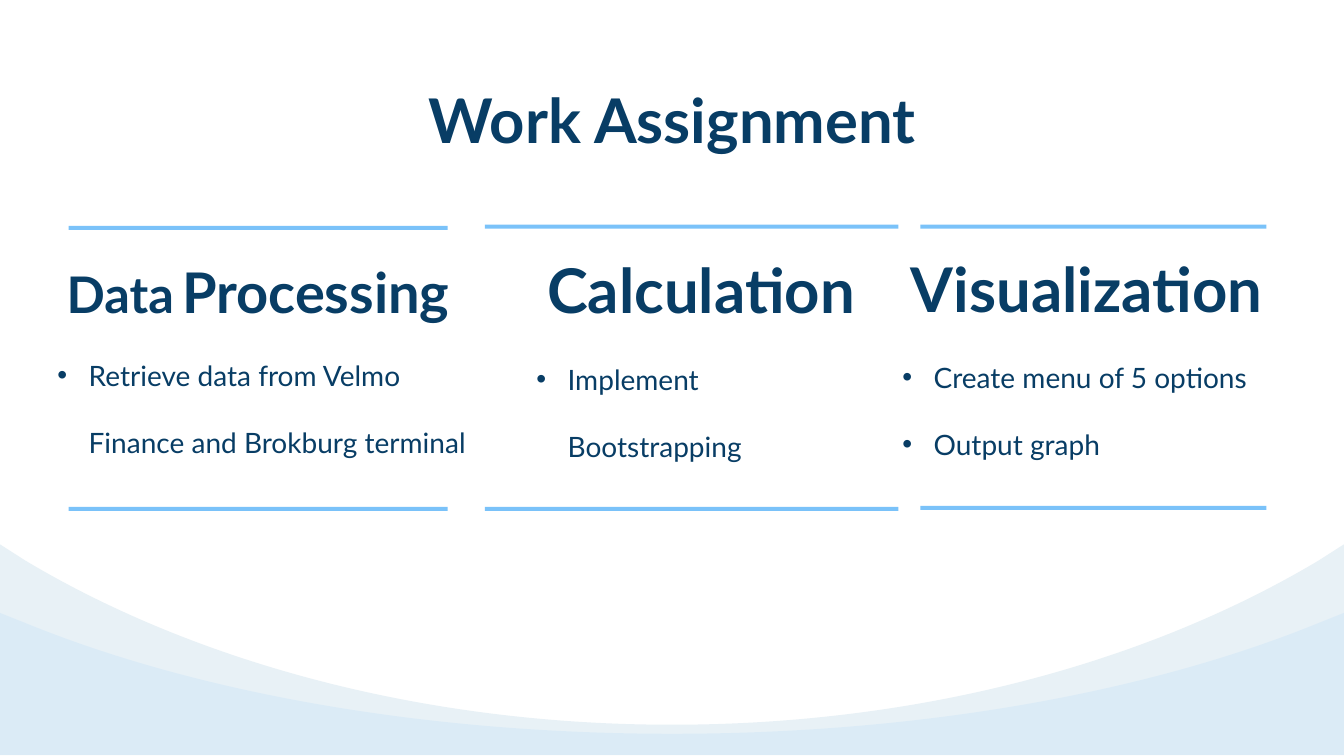
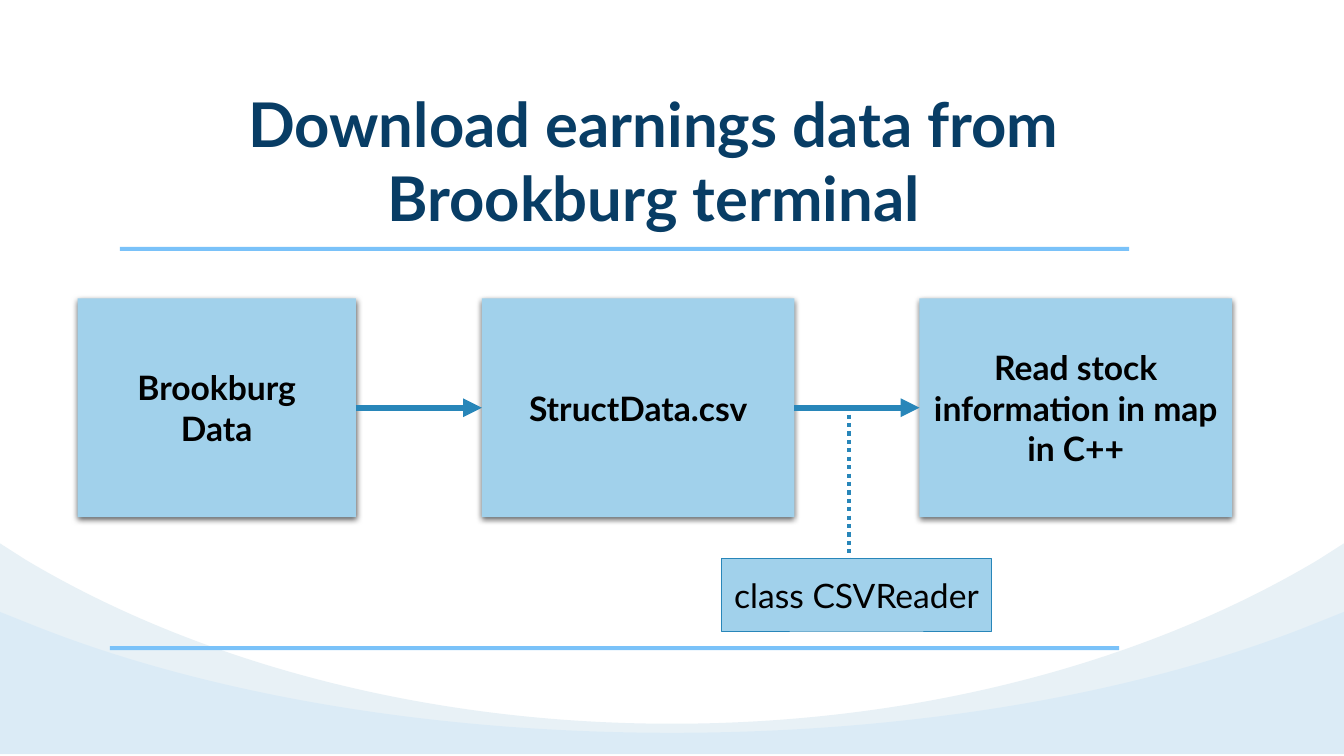
from itertools import pairwise

from lxml import etree
from pptx import Presentation
from pptx import util as u
from pptx.dml.color import RGBColor
from pptx.enum import dml, shapes, text
from pptx.oxml import ns

FONT = "Lato"
COLORS = {
    "navy": "083D65",
    "sky": "7AC2F9",
    "mist": "E8F1F6",
    "box": "A1D1EB",
    "arrow": "2886B9",
    "black": "000000",
}
WIDTH, HEIGHT = 13.33, 7.5
RULE_HEIGHT = 0.04
BULLET_INDENT = 0.31


def rgb(name):
    return RGBColor.from_string(COLORS[name])


def sub(parent, tag, **attributes):
    return etree.SubElement(parent, ns.qn(tag), attributes)


# Text
def add_runs(paragraph, runs, color, bold=False):
    for words, size in runs:
        run = paragraph.add_run()
        run.text = words
        run.font.name = FONT
        run.font.size = u.Pt(size)
        run.font.bold = bold
        run.font.color.rgb = rgb(color)


def paragraphs(frame, count):
    return [frame.paragraphs[0]] + [frame.add_paragraph() for _ in range(count - 1)]


def text_frame(slide, place):
    frame = slide.shapes.add_textbox(*map(u.Inches, place)).text_frame
    frame.word_wrap = True
    frame.auto_size = text.MSO_AUTO_SIZE.SHAPE_TO_FIT_TEXT
    frame.margin_left = frame.margin_right = 0
    frame.margin_top = frame.margin_bottom = 0
    return frame


def add_heading(slide, place, runs):
    paragraph = text_frame(slide, place).paragraphs[0]
    paragraph.alignment = text.PP_ALIGN.CENTER
    add_runs(paragraph, runs, "navy", bold=True)


def add_bullets(slide, place, items):
    frame = text_frame(slide, place)
    for paragraph, runs in zip(paragraphs(frame, len(items)), items):
        paragraph.line_spacing = 2.0
        properties = paragraph._p.get_or_add_pPr()
        properties.set("marL", str(u.Inches(BULLET_INDENT)))
        properties.set("indent", str(-u.Inches(BULLET_INDENT)))
        sub(properties, "a:buFont", typeface="Arial")
        sub(properties, "a:buChar", char="•")
        add_runs(paragraph, runs, "navy")


# Shapes
def paint(shape, color):
    shape.shadow.inherit = False
    shape.fill.solid()
    shape.fill.fore_color.rgb = rgb(color)
    shape.line.fill.background()


def add_rect(slide, place, color):
    rect = slide.shapes.add_shape(
        shapes.MSO_SHAPE.RECTANGLE, *map(u.Inches, place))
    paint(rect, color)
    return rect


def add_rule(slide, left, top, width):
    add_rect(slide, (left, top, width, RULE_HEIGHT), "sky")


def add_box(slide, place, lines, bold=False):
    box = add_rect(slide, place, "box")
    frame = box.text_frame
    frame.word_wrap = True
    frame.vertical_anchor = text.MSO_ANCHOR.MIDDLE
    for paragraph, line in zip(paragraphs(frame, len(lines)), lines):
        paragraph.alignment = text.PP_ALIGN.CENTER
        add_runs(paragraph, [(line, 24)], "black", bold)
    return box


def add_drop_shadow(shape):
    effects = shape._element.spPr.find(ns.qn("a:effectLst"))
    shadow = sub(effects, "a:outerShdw", blurRad=str(u.Pt(4.5)),
                 dist=str(u.Pt(1.5)), dir="5400000", rotWithShape="0")
    shade = sub(shadow, "a:srgbClr", val=COLORS["black"])
    sub(shade, "a:alpha", val="63000")


def add_line(slide, start, end, weight):
    line = slide.shapes.add_connector(
        shapes.MSO_CONNECTOR.STRAIGHT, *map(u.Inches, start + end))
    line.line.color.rgb = rgb("arrow")
    line.line.width = u.Pt(weight)
    sub(line._element.spPr, "a:effectLst")
    return line


def add_arrow(slide, source, target):
    arrow = add_line(slide, (0, 0), (1, 0), 4.5)
    arrow.begin_connect(source, 3)
    arrow.end_connect(target, 1)
    sub(arrow.line._get_or_add_ln(), "a:tailEnd", type="triangle")


# Curved bands along the bottom
def bend(segments):
    """Merge three straight segments into one cubic curve."""
    curve = etree.Element(ns.qn("a:cubicBezTo"))
    segments[0].addprevious(curve)
    for segment in segments:
        curve.append(segment[0])
        segment.getparent().remove(segment)


def add_band(slide, edge, shoulder, dip, low, bottom, color, opacity=100):
    left_half = [(0, edge), (0.25, shoulder), (1.94, dip), (4.2, low)]
    right_half = [(WIDTH - x, y) for x, y in reversed(left_half)]
    outline = [*left_half, (WIDTH / 2, low), *right_half,
               (WIDTH, bottom), (0, bottom)]
    points = [(u.Inches(x), u.Inches(y)) for x, y in outline]
    builder = slide.shapes.build_freeform(*points[0])
    builder.add_line_segments(points[1:], close=True)
    band = builder.convert_to_shape()
    paint(band, color)
    properties = band._element.spPr
    segments = properties.findall(".//" + ns.qn("a:lnTo"))
    bend(segments[1:4])
    bend(segments[4:7])
    if opacity < 100:
        tint = properties.find(".//" + ns.qn("a:srgbClr"))
        sub(tint, "a:alpha", val=str(opacity * 1000))


def add_slide(deck, title_place, title, band_shift=0):
    slide = deck.slides.add_slide(deck.slide_layouts[6])
    add_heading(slide, title_place, [(title, 44)])
    for heights, color, opacity in [
        ((5.4, 5.56, 6.57, 7.19, 7.49), "mist", 100),
        ((6.08, 6.18, 6.87, 7.28, 7.49), "sky", 11),
    ]:
        add_band(slide, *(y + band_shift for y in heights), color, opacity)
    return slide


# Slides
def work_assignment(deck):
    slide = add_slide(deck, (2.99, 0.81, 7.36, 0.74), "Work Assignment")
    # Rule left, width and tops, then heading and bullets
    columns = [
        (0.68, 3.76, (2.24, 5.03),
         (0.38, 2.56, 4.36, 0.67),
         [("Data", 36), (" ", 24), ("Processing", 40)],
         (0.57, 3.22, 4.24, 1.24),
         [[("Retrieve data from Velmo Finance and Brokburg terminal", 20)]]),
        (4.81, 4.1, (2.23, 5.03),
         (5.18, 2.5, 3.55, 0.74),
         [("Calculation", 44)],
         (5.32, 3.26, 3, 1.24),
         [[("Implement", 20), (" ", 18), ("Bootstrapping", 20)]]),
        (9.13, 3.43, (2.23, 5.02),
         (8.9, 2.49, 3.76, 0.74),
         [("Visualization", 44)],
         (8.95, 3.24, 3.66, 1.24),
         [[("Create menu of 5 options", 20)], [("Output graph", 20)]]),
    ]
    for left, width, tops, heading_place, heading, task_place, tasks in columns:
        add_heading(slide, heading_place, heading)
        add_bullets(slide, task_place, tasks)
        for top in tops:
            add_rule(slide, left, top, width)


def download_earnings(deck):
    slide = add_slide(deck, (1.46, 0.85, 10.05, 1.48),
                      "Download earnings data from Brookburg terminal",
                      band_shift=-0.01)
    add_rule(slide, 1.09, 6.41, 10.01)
    add_rule(slide, 1.19, 2.45, 10.01)

    # Data flow
    stages = [
        (0.77, 2.76, ["Brookburg", "Data"]),
        (4.78, 3.1, ["StructData.csv"]),
        (9.12, 3.1, ["Read stock information in map in C++"]),
    ]
    boxes = [add_box(slide, (left, 2.96, width, 2.17), lines, bold=True)
             for left, width, lines in stages]
    for box in boxes:
        add_drop_shadow(box)
    for source, target in pairwise(boxes):
        add_arrow(slide, source, target)

    # Reader class on the second arrow
    reader_link = add_line(slide, (8.42, 4.03), (8.42, 5.6), 3)
    reader_link.line.dash_style = dml.MSO_LINE.ROUND_DOT
    reader = add_box(slide, (7.16, 5.54, 2.67, 0.72), ["class CSVReader"])
    reader.line.color.rgb = rgb("arrow")
    reader.line.width = u.Pt(0.5)


def main():
    deck = Presentation()
    deck.slide_width = u.Inches(WIDTH)
    deck.slide_height = u.Inches(HEIGHT)
    work_assignment(deck)
    download_earnings(deck)
    deck.save("out.pptx")


main()
